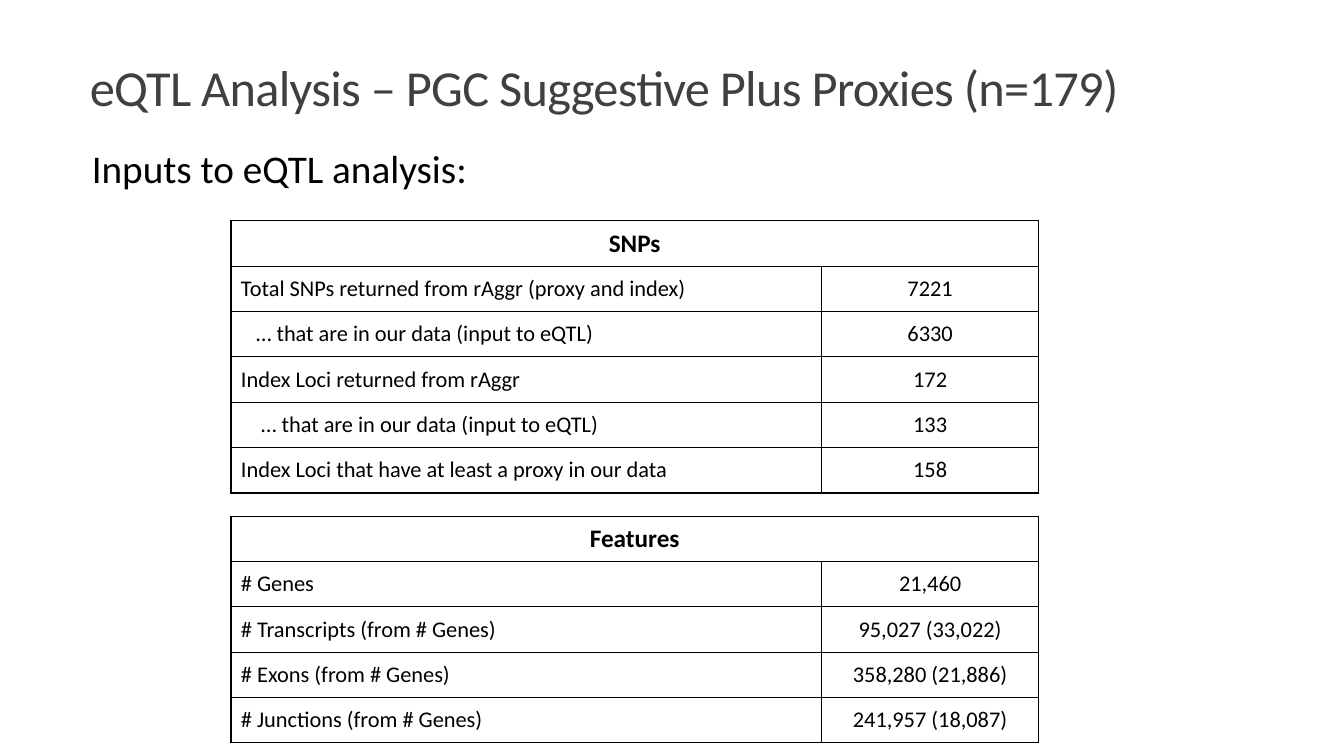
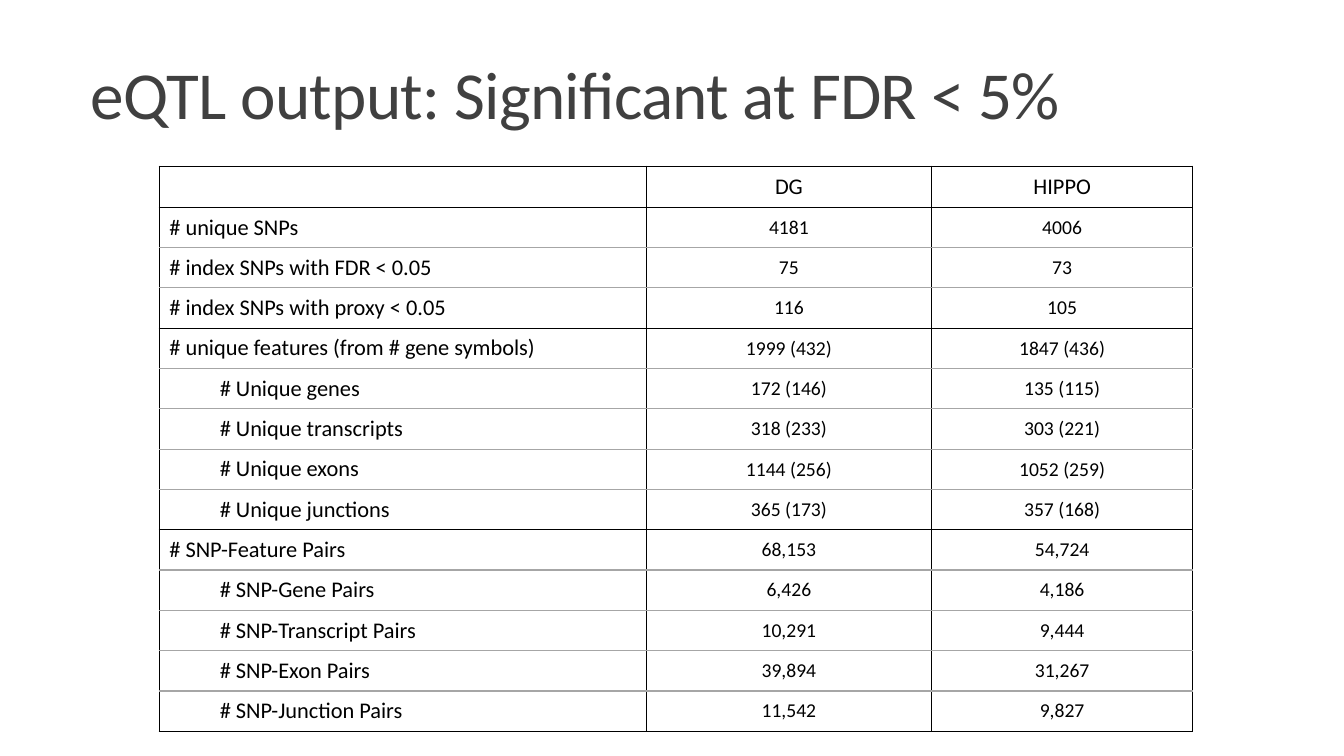
from lxml import etree
from pptx import Presentation
from pptx.dml.color import RGBColor
from pptx.enum.text import MSO_ANCHOR as Anchor, MSO_AUTO_SIZE as AutoSize, PP_ALIGN as Align
from pptx.oxml.ns import qn
from pptx.util import Inches, Pt

COLORS = {"title": "404040", "text": "000000", "rule": "000000", "light_rule": "A6A6A6"}
FONT = "Calibri"
TITLE_ONLY = 5
CELL_MARGIN = 0.1

# Rows hold the label's extra indent in inches, the label and its values.
SNP_ROWS = [
    (0, "Total SNPs returned from rAggr (proxy and index)", "7221"),
    (0.15, "… that are in our data (input to eQTL)", "6330"),
    (0, "Index Loci returned from rAggr", "172"),
    (0.2, "… that are in our data (input to eQTL)", "133"),
    (0, "Index Loci that have at least a proxy in our data", "158"),
]
FEATURE_ROWS = [
    (0, "# Genes", "21,460"),
    (0, "# Transcripts (from # Genes)", "95,027 (33,022)"),
    (0, "# Exons (from # Genes)", "358,280 (21,886)"),
    (0, "# Junctions (from # Genes)", "241,957 (18,087)"),
]
OUTPUT_GROUPS = [
    [
        (0, "# unique SNPs", "4181", "4006"),
        (0, "# index SNPs with FDR < 0.05", "75", "73"),
        (0, "# index SNPs with proxy < 0.05", "116", "105"),
    ],
    [
        (0, "# unique features (from # gene symbols)", "1999 (432)", "1847 (436)"),
        (0.5, "# Unique genes", "172 (146)", "135 (115)"),
        (0.5, "# Unique transcripts", "318 (233)", "303 (221)"),
        (0.5, "# Unique exons", "1144 (256)", "1052 (259)"),
        (0.5, "# Unique junctions", "365 (173)", "357 (168)"),
    ],
    [
        (0, "# SNP-Feature Pairs", "68,153", "54,724"),
        (0.5, "# SNP-Gene Pairs", "6,426", "4,186"),
        (0.5, "# SNP-Transcript Pairs", "10,291", "9,444"),
        (0.5, "# SNP-Exon Pairs", "39,894", "31,267"),
        (0.5, "# SNP-Junction Pairs", "11,542", "9,827"),
    ],
]


def write_text(text_frame, text, size, color="text", align=Align.LEFT, bold=False):
    text_frame.text = text
    paragraph = text_frame.paragraphs[0]
    paragraph.alignment = align
    for run in paragraph.runs:
        font = run.font
        font.name, font.size, font.bold = FONT, Pt(size), bold
        font.color.rgb = RGBColor.from_string(COLORS[color])
    return paragraph


def add_titled_slide(presentation, text, box, size, anchor):
    slide = presentation.slides.add_slide(presentation.slide_layouts[TITLE_ONLY])
    title = slide.shapes.title
    title.left, title.top, title.width, title.height = map(Inches, box)
    frame = title.text_frame
    frame.auto_size, frame.vertical_anchor = AutoSize.NONE, anchor
    paragraph = write_text(frame, text, size, "title")
    paragraph.line_spacing = 0.85
    for run in paragraph.runs:
        run._r.get_or_add_rPr().set("spc", "-50")
    return slide


def add_lead(slide, text, box):
    frame = slide.shapes.add_textbox(*map(Inches, box)).text_frame
    frame.word_wrap = False
    write_text(frame, text, 28, align=Align.CENTER)


def set_borders(cell, top, bottom):
    """Draw black side rules and the given colours above and below."""
    properties = cell._tc.get_or_add_tcPr()
    sides = {"lnL": "rule", "lnR": "rule", "lnT": top, "lnB": bottom}
    for tag, color in sides.items():
        line = etree.SubElement(properties, qn(f"a:{tag}"), w=str(Pt(1)))
        fill = etree.SubElement(line, qn("a:solidFill"))
        etree.SubElement(fill, qn("a:srgbClr"), val=COLORS[color])


def add_grid(slide, left, top, column_widths, row_height, row_count, dark_rows):
    """Add a plain table with a dark rule above each row in dark_rows."""
    table = slide.shapes.add_table(
        row_count, len(column_widths), Inches(left), Inches(top),
        Inches(sum(column_widths)), Inches(row_height * row_count)).table
    table.first_row = table.horz_banding = False
    for column, width in zip(table.columns, column_widths):
        column.width = Inches(width)
    rules = ["rule" if index in dark_rows else "light_rule" for index in range(row_count + 1)]
    for index, row in enumerate(table.rows):
        row.height = Inches(row_height)
        for cell in row.cells:
            set_borders(cell, rules[index], rules[index + 1])
            cell.fill.background()
            cell.vertical_anchor = Anchor.MIDDLE
    return table


def fill_rows(table, rows, value_size):
    """Write the rows below the header."""
    for index, (indent, label, *values) in enumerate(rows, start=1):
        label_cell = table.cell(index, 0)
        label_cell.margin_left = Inches(CELL_MARGIN + indent)
        write_text(label_cell.text_frame, label, 16)
        for column, value in enumerate(values, start=1):
            write_text(table.cell(index, column).text_frame, value, value_size, align=Align.CENTER)


def add_input_table(slide, top, heading, rows):
    row_count = len(rows) + 1
    table = add_grid(slide, 2.29, top, [5.86, 2.15], 0.45, row_count, range(row_count + 1))
    header = table.cell(0, 0)
    header.merge(table.cell(0, 1))
    write_text(header.text_frame, heading, 18, align=Align.CENTER, bold=True)
    fill_rows(table, rows, 16)


def add_output_table(slide, left, top, regions, groups):
    dark_rows = [0, 1]
    for group in groups:
        dark_rows.append(dark_rows[-1] + len(group))
    table = add_grid(slide, left, top, [4.83, 2.83, 2.59], 0.4, dark_rows[-1], dark_rows)
    for column, region in enumerate(regions, start=1):
        write_text(table.cell(0, column).text_frame, region, 16, align=Align.CENTER)
    fill_rows(table, [row for group in groups for row in group], 14)


def build_inputs_slide(presentation):
    slide = add_titled_slide(presentation, "eQTL Analysis – PGC Suggestive Plus Proxies (n=179)",
                             (0.79, 0.43, 11, 0.95), 36, Anchor.MIDDLE)
    add_input_table(slide, 2.19, "SNPs", SNP_ROWS)
    add_lead(slide, "Inputs to eQTL analysis:", (0.79, 1.38, 3.96, 0.57))
    add_input_table(slide, 5.12, "Features", FEATURE_ROWS)


def build_output_slide(presentation):
    slide = add_titled_slide(presentation, "eQTL output: Significant at FDR < 5%",
                             (0.8, 0.45, 11, 0.92), 48, Anchor.BOTTOM)
    add_output_table(slide, 1.58, 1.65, ["DG", "HIPPO"], OUTPUT_GROUPS)


def main():
    presentation = Presentation()
    presentation.slide_width, presentation.slide_height = Inches(13.33), Inches(7.5)
    build_inputs_slide(presentation)
    build_output_slide(presentation)
    presentation.save("out.pptx")


if __name__ == "__main__":
    main()
